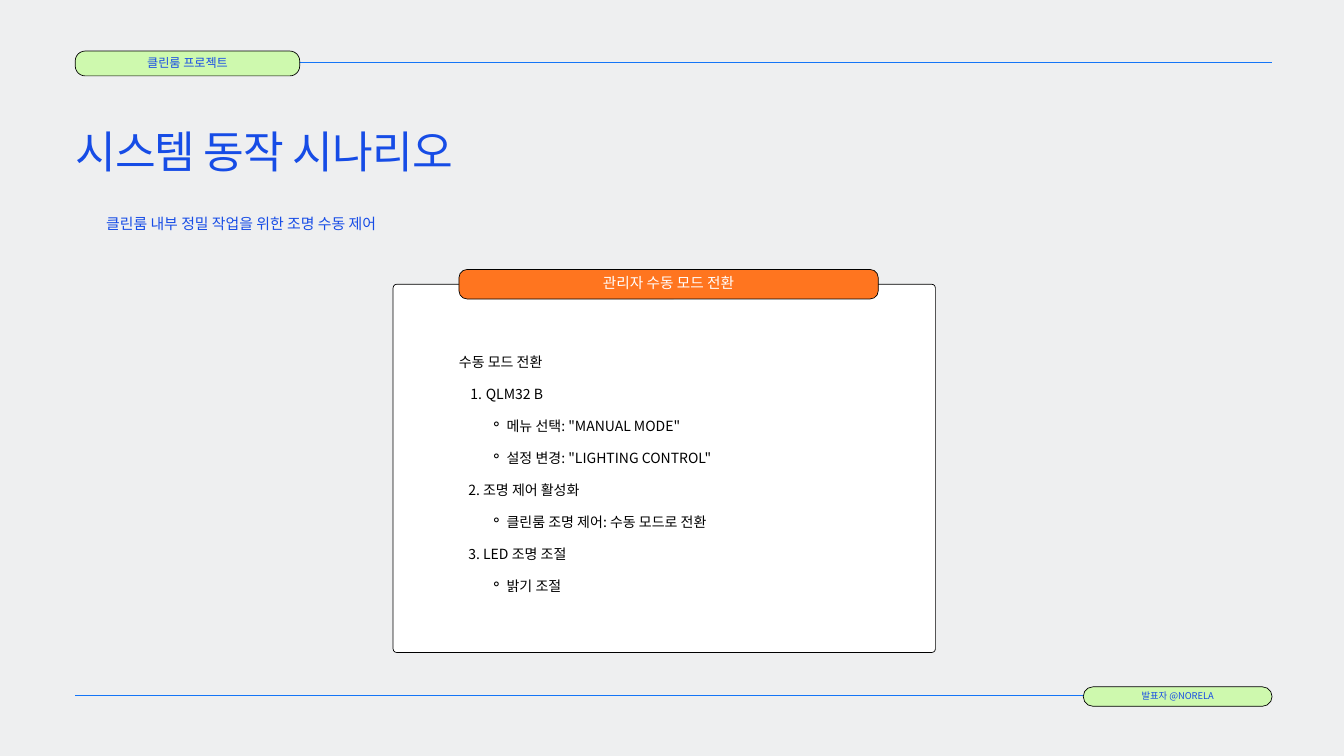
"""Build the cleanroom manual lighting control slide."""
from dataclasses import dataclass

from lxml import etree
from pptx import Presentation
from pptx import util as u
from pptx.dml.color import RGBColor
from pptx.enum import shapes, text
from pptx.oxml.ns import qn

FONT = "Noto Sans CJK KR"
BLUE, SKY, LIME, ORANGE = "164CE6", "1475F7", "CEF9AE", "FF751F"
BLACK, WHITE, GREY = "000000", "FFFFFF", "EEEFF0"
LEFT, RIGHT = 1.12, 18.93
ALIGN, ANCHOR = text.PP_ALIGN, text.MSO_ANCHOR


@dataclass
class Box:
    x: float
    y: float
    w: float
    h: float


@dataclass
class Style:
    size: float
    lead: float
    ink: str = BLUE
    align: ALIGN = ALIGN.JUSTIFY
    track: int = 0


@dataclass
class Tag:
    label: str
    box: Box
    fill: str
    round: float
    style: Style
    lift: float


@dataclass
class Item:
    label: str
    level: int = 0
    left: float = 0
    hang: float = 0
    mark: tuple[str, str, str] | None = None


def color(code: str) -> RGBColor:
    """Turn a hex string into a colour."""
    return RGBColor.from_string(code)


def place(box: Box) -> list[int]:
    """Give the box as lengths."""
    return [u.Inches(n) for n in (box.x, box.y, box.w, box.h)]


def panel(slide, box: Box, fill: str, ratio: float) -> None:
    """Draw an outlined rounded panel."""
    shape = slide.shapes.add_shape(shapes.MSO_SHAPE.ROUNDED_RECTANGLE, *place(box))
    shape.adjustments[0] = ratio
    shape.shadow.inherit = False
    shape.fill.solid()
    shape.fill.fore_color.rgb = color(fill)
    shape.line.color.rgb = color(BLACK)
    shape.line.width = u.Pt(0.75)


def rule(slide, y: float) -> None:
    """Draw a rule across the slide."""
    ends = [u.Inches(n) for n in (LEFT, y, RIGHT, y)]
    line = slide.shapes.add_connector(shapes.MSO_CONNECTOR.STRAIGHT, *ends)
    line.line.color.rgb = color(SKY)
    line.line.width = u.Pt(1)
    etree.SubElement(line._element.spPr, qn("a:effectLst"))


def write(slide, box: Box, items: list[Item], style: Style,
          inset: float = 0, anchor: ANCHOR = ANCHOR.TOP) -> None:
    """Write the items as paragraphs of one text box."""
    frame = slide.shapes.add_textbox(*place(box)).text_frame
    frame.word_wrap = True
    frame.vertical_anchor = anchor
    frame.margin_left = frame.margin_right = u.Inches(inset)
    frame.margin_top = frame.margin_bottom = u.Inches(inset)
    frame.text = "\n".join(item.label for item in items)
    for para, item in zip(frame.paragraphs, items):
        props = para._p.get_or_add_pPr()
        if item.left:
            props.set("marL", str(u.Inches(item.left)))
            props.set("indent", str(u.Inches(-item.hang)))
        if item.mark:
            tag, key, value = item.mark
            etree.SubElement(props, qn(tag)).set(key, value)
        para.level = item.level
        para.alignment = style.align
        para.line_spacing = u.Pt(style.lead)
        for run in para.runs:
            run.font.size = u.Pt(style.size)
            run.font.name = FONT
            run.font.color.rgb = color(style.ink)
            look = run._r.get_or_add_rPr()
            etree.SubElement(look, qn("a:ea")).set("typeface", FONT)
            if style.track:
                look.set("spc", str(style.track))


def badge(slide, tag: Tag) -> None:
    """Draw a tag with its centred label."""
    box = tag.box
    panel(slide, box, tag.fill, tag.round)
    area = Box(box.x, box.y - tag.lift, box.w, box.h + tag.lift)
    write(slide, area, [Item(tag.label)], tag.style, 0.03, ANCHOR.MIDDLE)


def bullet(label: str) -> Item:
    """Make a second-level bullet."""
    return Item(label, 2, 0.71, 0.24, ("a:buChar", "char", "⚬"))


STEPS = [
    Item("수동 모드 전환"),
    Item("QLM32 B", 1, 0.4, 0.23, ("a:buAutoNum", "type", "arabicPeriod")),
    bullet('메뉴 선택: "MANUAL MODE"'),
    bullet('설정 변경: "LIGHTING CONTROL"'),
    Item("2. 조명 제어 활성화", left=0.14),
    bullet("클린룸 조명 제어: 수동 모드로 전환"),
    Item("3. LED 조명 조절", left=0.14),
    bullet("밝기 조절"),
]
MODE = Tag("관리자 수동 모드 전환", Box(6.83, 4.01, 6.24, 0.44), ORANGE, 0.28,
           Style(15.7, 22, WHITE, ALIGN.CENTER), 0.09)
HEAD = Tag("클린룸 프로젝트", Box(LEFT, 0.76, 3.34, 0.37), LIME, 0.4,
           Style(13, 18.2, align=ALIGN.CENTER), 0.06)
FOOT = Tag("발표자 @NORELA", Box(16.12, 10.22, 2.81, 0.29), LIME, 0.5,
           Style(10, 14, align=ALIGN.CENTER), 0.06)


def main() -> None:
    """Build and save the slide."""
    deck = Presentation()
    deck.slide_width, deck.slide_height = u.Inches(20), u.Inches(11.25)
    slide = deck.slides.add_slide(deck.slide_layouts[6])
    slide.background.fill.solid()
    slide.background.fill.fore_color.rgb = color(GREY)

    panel(slide, Box(5.85, 4.23, 8.07, 5.48), WHITE, 0.01)
    badge(slide, MODE)
    for y, tag in ((0.93, HEAD), (10.35, FOOT)):
        rule(slide, y)
        badge(slide, tag)
    write(slide, Box(6.83, 5.04, 6.24, 3.7), STEPS,
          Style(15, 34.2, BLACK, ALIGN.LEFT))
    write(slide, Box(LEFT, 1.72, 12.8, 0.94), [Item("시스템 동작 시나리오")],
          Style(47.4, 66.3, track=-90))
    write(slide, Box(1.58, 3.15, 16.34, 0.29),
          [Item("클린룸 내부 정밀 작업을 위한 조명 수동 제어")], Style(16, 22.4))
    deck.save("out.pptx")


if __name__ == "__main__":
    main()
